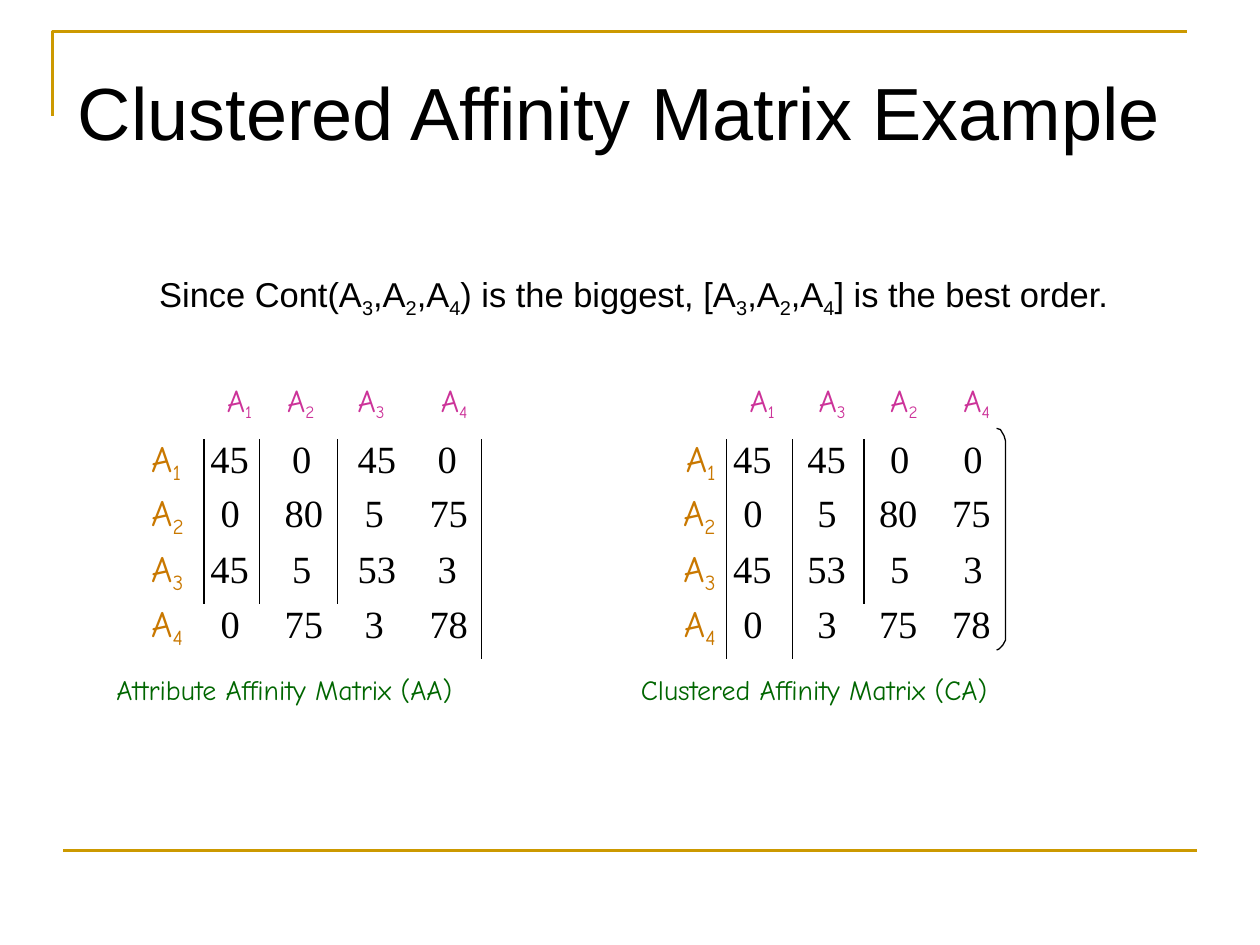
from typing import NamedTuple

from lxml import etree
from pptx import Presentation
from pptx.dml.color import RGBColor
from pptx.enum.shapes import MSO_CONNECTOR
from pptx.enum.text import PP_ALIGN
from pptx.oxml import parse_xml
from pptx.oxml.ns import nsdecls, qn
from pptx.util import Pt

COLORS = {"gold": "CC9900", "green": "006600", "pink": "CC3399",
          "amber": "C97800", "black": "000000"}
NO_GRID_STYLE = "{2D5ABB26-0587-4C30-8999-92F81FD0307C}"
SUBSCRIPT = "-21000"


class TextStyle(NamedTuple):
    font: str
    size: float
    color: str
    subscript_size: float


class Caption(NamedTuple):
    text: str
    left: float
    top: float
    width: float
    height: float
    style: TextStyle
    align: PP_ALIGN = PP_ALIGN.LEFT


class MatrixColumn(NamedTuple):
    """Width and left indents of the heading, one-digit and two-digit values."""
    width: float
    heading: float
    one_digit: float
    two_digits: float
    centred: bool = False


class Matrix(NamedTuple):
    label_column: int
    label_align: PP_ALIGN
    order: list[str]
    columns: list[MatrixColumn]
    values: list[list[int]]


class Rule(NamedTuple):
    """A vertical line right of a table column, from row 1 to last_row."""
    column: int
    last_row: int


TITLE = TextStyle("Arial", 42.2, "black", 42.2)
SENTENCE = TextStyle("Arial", 19.7, "black", 19.7)
MATRIX_NAME = TextStyle("Comic Neue", 15.9, "green", 15.9)
HEADING = TextStyle("Comic Neue", 18, "pink", 17)
ROW_LABEL = TextStyle("Comic Neue", 21, "amber", 21)
VALUE = TextStyle("Times New Roman", 22, "black", 22)

# An underscore marks the next character as a subscript.
CAPTIONS = [
    Caption("Attribute Affinity Matrix (AA)", 66.6, 384.5, 235, 20, MATRIX_NAME),
    Caption("Clustered Affinity Matrix (CA)", 366.2, 384.5, 232, 20, MATRIX_NAME),
    Caption("Since Cont(A_3,A_2,A_4) is the biggest, [A_3,A_2,A_4] is the best order.",
            91, 156.2, 584, 34.6, SENTENCE),
    Caption("Clustered Affinity Matrix Example", 13, 38.2, 682, 69, TITLE,
            PP_ALIGN.CENTER),
]
ROW_LABELS = ["A_1", "A_2", "A_3", "A_4"]
ROW_HEIGHTS = [31.5, 31, 31.7, 31.5, 31.5]
LABEL_WIDTHS = {0: 32.4, 5: 140.4}
MATRICES = [
    Matrix(0, PP_ALIGN.LEFT, ["A_1", "A_2", "A_3", "A_4"],
           [MatrixColumn(31.7, 13, 9.4, 3.6),
            MatrixColumn(44.6, 15.8, 3.6, 14.4, True),
            MatrixColumn(41.8, 11.5, 0, 11.5, True),
            MatrixColumn(40.3, 17.3, 1.4, 10.8, True)],
           [[45, 0, 45, 0], [0, 80, 5, 75], [45, 5, 53, 3], [0, 75, 3, 78]]),
    Matrix(5, PP_ALIGN.RIGHT, ["A_1", "A_3", "A_2", "A_4"],
           [MatrixColumn(37.4, 13, 9.4, 3.6),
            MatrixColumn(41, 15, 14.4, 8.6),
            MatrixColumn(41.8, 15, 15, 8.6),
            MatrixColumn(35.3, 15, 15, 8.6)],
           [[45, 45, 0, 0], [0, 5, 80, 75], [45, 53, 5, 3], [0, 3, 75, 78]]),
]
RULES = [Rule(0, 3), Rule(1, 3), Rule(4, 4), Rule(5, 4), Rule(6, 3)]
CORNER = [(30.2, 66.2), (30.2, 18), (678.2, 18)]
BRACKET = [(569.5, 244.8), (571.7, 245.5), (573.8, 249.1), (574.6, 252),
           (574.6, 365.8), (573.1, 368.6), (571, 370.8), (569.5, 371.5)]


def rgb(color: str) -> RGBColor:
    return RGBColor.from_string(COLORS[color])


def write(frame, text: str, style: TextStyle, align=PP_ALIGN.LEFT, indent=0.0) -> None:
    paragraph = frame.paragraphs[0]
    paragraph.alignment = align
    paragraph._p.get_or_add_pPr().set("marL", str(Pt(indent)))
    paragraph.font.name = style.font
    paragraph.font.color.rgb = rgb(style.color)
    paragraph.font.size = Pt(style.size)
    first, *rest = text.split("_")
    paragraph.add_run().text = first
    for part in rest:
        subscript = paragraph.add_run()
        subscript.text = part[0]
        subscript.font.size = Pt(style.subscript_size)
        subscript.font._element.set("baseline", SUBSCRIPT)
        if part[1:]:
            paragraph.add_run().text = part[1:]


def clear_margins(frame) -> None:
    frame.margin_left = frame.margin_right = frame.margin_top = frame.margin_bottom = 0


def add_caption(slide, caption: Caption) -> None:
    frame = slide.shapes.add_textbox(Pt(caption.left), Pt(caption.top),
                                     Pt(caption.width), Pt(caption.height)).text_frame
    frame.word_wrap = True
    clear_margins(frame)
    write(frame, caption.text, caption.style, caption.align)


def add_outline(slide, points: list[tuple], color: str, width: float) -> None:
    start, *rest = [(Pt(x), Pt(y)) for x, y in points]
    builder = slide.shapes.build_freeform(*start)
    builder.add_line_segments(rest, close=False)
    outline = builder.convert_to_shape()
    outline.shadow.inherit = False
    outline.fill.background()
    outline.line.color.rgb = rgb(color)
    outline.line.width = Pt(width)


def add_footer_line(slide) -> None:
    footer = slide.shapes.add_connector(MSO_CONNECTOR.STRAIGHT, Pt(36), Pt(486),
                                        Pt(684), Pt(486))
    footer.line.color.rgb = rgb("gold")
    footer.line.width = Pt(1.5)
    etree.SubElement(footer._element.spPr, qn("a:effectLst"))


def add_border(cell, side: str) -> None:
    cell._tc.get_or_add_tcPr().insert(0, parse_xml(
        f'<a:{side} {nsdecls("a")} w="{Pt(0.75)}"><a:solidFill>'
        f'<a:srgbClr val="{COLORS["black"]}"/></a:solidFill></a:{side}>'))


def fill_matrix(table, matrix: Matrix) -> None:
    for row, label in enumerate(ROW_LABELS, 1):
        label_cell = table.cell(row, matrix.label_column)
        write(label_cell.text_frame, label, ROW_LABEL, matrix.label_align,
              2.2 if matrix.label_align == PP_ALIGN.LEFT else 0)
        if matrix.label_align == PP_ALIGN.RIGHT:
            label_cell.margin_right = Pt(6.5)
    for offset, (column, heading) in enumerate(zip(matrix.columns, matrix.order)):
        position = matrix.label_column + 1 + offset
        table.columns[position].width = Pt(column.width)
        write(table.cell(0, position).text_frame, heading, HEADING, indent=column.heading)
        for row, values in enumerate(matrix.values, 1):
            value = values[offset]
            single = value < 10
            write(table.cell(row, position).text_frame, str(value), VALUE,
                  PP_ALIGN.CENTER if single and column.centred else PP_ALIGN.LEFT,
                  column.one_digit if single else column.two_digits)


def add_matrices(slide) -> None:
    width = sum(LABEL_WIDTHS.values()) + sum(c.width for m in MATRICES for c in m.columns)
    table = slide.shapes.add_table(len(ROW_HEIGHTS), 10, Pt(84.2), Pt(219.6),
                                   Pt(width), Pt(sum(ROW_HEIGHTS))).table
    table.first_row = table.horz_banding = False
    table._tbl.tblPr.find(qn("a:tableStyleId")).text = NO_GRID_STYLE
    for row, height in zip(table.rows, ROW_HEIGHTS):
        row.height = Pt(height)
    for column, label_width in LABEL_WIDTHS.items():
        table.columns[column].width = Pt(label_width)
    for cell in table.iter_cells():
        clear_margins(cell)
        cell.fill.background()
    for matrix in MATRICES:
        fill_matrix(table, matrix)
    for rule in reversed(RULES):  # keeps lnL ahead of lnR in each cell
        for row in range(1, rule.last_row + 1):
            add_border(table.cell(row, rule.column), "lnR")
            add_border(table.cell(row, rule.column + 1), "lnL")


def main() -> None:
    presentation = Presentation()
    presentation.slide_width, presentation.slide_height = Pt(720), Pt(540)
    slide = presentation.slides.add_slide(presentation.slide_layouts[6])
    add_outline(slide, CORNER, "gold", 1.5)
    add_footer_line(slide)
    add_outline(slide, BRACKET, "black", 0.75)
    add_matrices(slide)
    for caption in CAPTIONS:
        add_caption(slide, caption)
    presentation.save("out.pptx")


if __name__ == "__main__":
    main()
